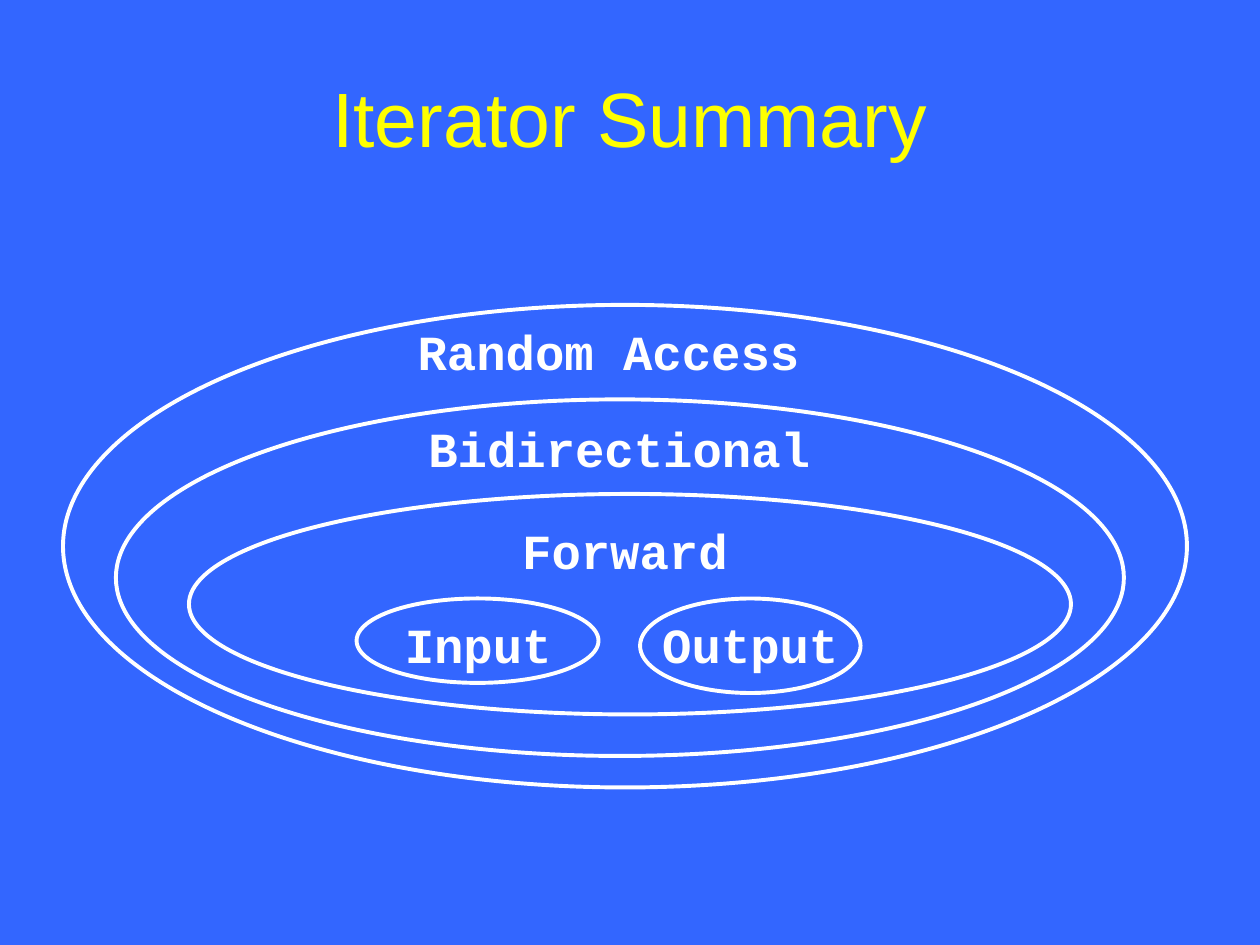
from pptx import Presentation
from pptx.dml.color import RGBColor
from pptx.enum.shapes import MSO_SHAPE as Shape
from pptx.enum.text import MSO_ANCHOR as Anchor, PP_ALIGN as Align
from pptx.util import Inches, Pt

COLORS = {"background": "3366FF", "title": "FFFF00", "foreground": "FFFFFF"}

LABELS = [
    ("Input", 2.92, 4.83, 1.75),
    ("Output", 5.08, 4.83, 1.75),
    ("Forward", 3.92, 4.08, 2.08),
    ("Random Access", 3.08, 2.5, 3.5),
    ("Bidirectional", 3.25, 3.27, 3.33),
]

CATEGORY_ELLIPSES = [
    (2.83, 4.75, 1.92, 0.67),
    (5.08, 4.75, 1.75, 0.75),
    (1.5, 3.92, 7, 1.75),
    (0.92, 3.17, 8, 2.83),
    (0.5, 2.42, 8.92, 3.83),
]


class SlideBuilder:
    """Holds the slide and the style shared by its elements."""

    def __init__(self, slide):
        self.slide = slide
        fill = slide.background.fill
        fill.solid()
        fill.fore_color.rgb = self.color("background")

    def color(self, name):
        return RGBColor.from_string(COLORS[name])

    def text(self, text, box, font_name, size, color, bold, anchor):
        shape = self.slide.shapes.add_textbox(*map(Inches, box))
        frame = shape.text_frame
        frame.word_wrap = True
        frame.vertical_anchor = anchor
        paragraph = frame.paragraphs[0]
        paragraph.alignment = Align.CENTER
        run = paragraph.add_run()
        run.text = text
        run.font.name = font_name
        run.font.size = Pt(size)
        run.font.bold = bold
        run.font.color.rgb = self.color(color)

    def title(self, text, box):
        self.text(text, box, "Arial", 44, "title", False, Anchor.MIDDLE)

    def label(self, text, left, top, width):
        box = (left, top, width, 0.57)
        self.text(text, box, "Courier New", 28, "foreground", True, Anchor.TOP)

    def ellipse(self, box):
        shape = self.slide.shapes.add_shape(Shape.OVAL, *map(Inches, box))
        shape.shadow.inherit = False
        shape.fill.background()
        shape.line.color.rgb = self.color("foreground")
        shape.line.width = Pt(2.25)


def main():
    presentation = Presentation()
    presentation.slide_width = Inches(10)
    presentation.slide_height = Inches(7.5)
    builder = SlideBuilder(presentation.slides.add_slide(presentation.slide_layouts[6]))
    builder.title("Iterator Summary", (0.5, 0.3, 9, 1.25))
    for label in LABELS:
        builder.label(*label)
    for box in CATEGORY_ELLIPSES:
        builder.ellipse(box)
    presentation.save("out.pptx")


if __name__ == "__main__":
    main()
